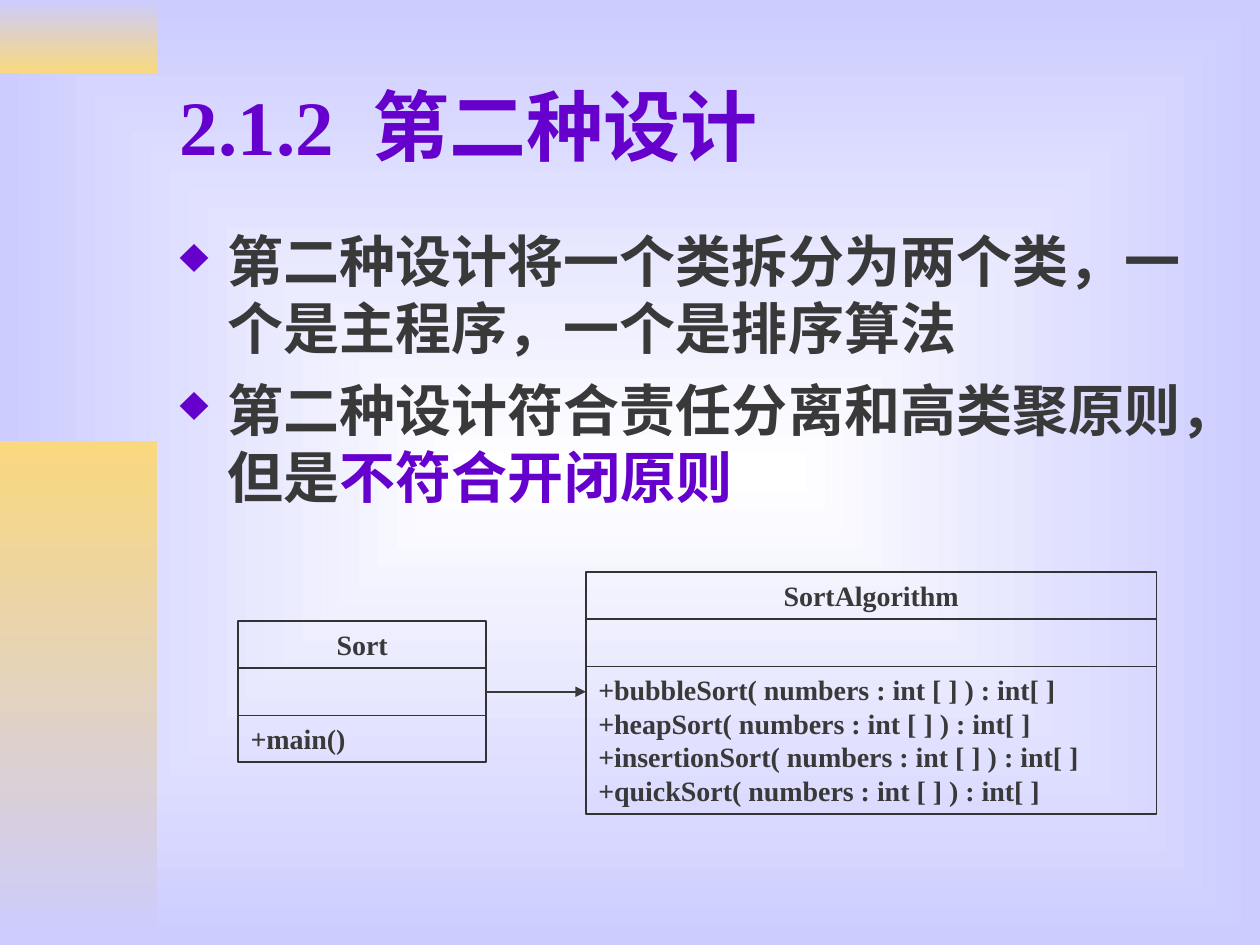
from dataclasses import dataclass

from lxml.etree import SubElement
from pptx import Presentation
from pptx.dml.color import RGBColor as Color
from pptx.enum.shapes import MSO_CONNECTOR as Line, MSO_SHAPE as Shape
from pptx.enum.text import MSO_ANCHOR as Anchor, PP_ALIGN as Align
from pptx.oxml.ns import qn
from pptx.util import Inches, Pt


@dataclass(frozen=True)
class Theme:
    font: str = "Times New Roman"
    accent: str = "6600CC"
    ink: str = "393939"
    border: str = "333333"
    white: str = "FFFFFF"
    lavender: str = "CCCCFF"
    gold: str = "F9D87E"
    title: int = 44
    body: int = 32
    label: int = 16
    line: int = 1


THEME = Theme()
COLUMNS, ROWS = 100, 75
WIDTH, HEIGHT = Inches(10), Inches(7.5)

TITLE = "2.1.2\t第二种设计"
TITLE_TAB = 15.3
BULLETS = [
    [("第二种设计将一个类拆分为两个类，一个是主程序，一个是排序算法", THEME.ink)],
    [("第二种设计符合责任分离和高类聚原则，但是", THEME.ink), ("不符合开闭原则", THEME.accent)],
]
BARS = [
    (0, 5.8, THEME.lavender, THEME.gold),
    (35, 40, THEME.gold, THEME.lavender),
]
BAR_WIDTH = 12.5
TEXT_LEFT, TEXT_WIDTH = 13.3, 85
TITLE_TOP, TITLE_HEIGHT = 3.3, 13.2
BODY_TOP, BODY_HEIGHT = 17.5, 24.3
INDENT = 3.8
NAME_HEIGHT, FIELDS_HEIGHT = 3.7, 3.8
CLASSES = {
    "Sort": {"at": (18.9, 49.3, 19.7), "methods": ["+main()"], "methods_height": 3.7},
    "SortAlgorithm": {
        "at": (46.5, 45.4, 45.3),
        "methods": [
            "+bubbleSort( numbers : int [ ] ) : int[ ]",
            "+heapSort( numbers : int [ ] ) : int[ ]",
            "+insertionSort( numbers : int [ ] ) : int[ ]",
            "+quickSort( numbers : int [ ] ) : int[ ]",
        ],
        "methods_height": 11.7,
    },
}


def across(columns):
    return round(WIDTH * columns / COLUMNS)


def down(rows):
    return round(HEIGHT * rows / ROWS)


def place(left, top, width, height):
    return across(left), down(top), across(width), down(height)


def rgb(value):
    return Color.from_string(value)


def style(para, size, color):
    para.font.name = THEME.font
    para.font.size = Pt(size)
    para.font.bold = True
    para.font.color.rgb = rgb(color)


def paint_gradient(fill, colors):
    fill.gradient()
    for stop, color in zip(fill.gradient_stops, colors):
        stop.color.rgb = rgb(color)


def paint_background(page):
    paint_gradient(page.background.fill, (THEME.white, THEME.lavender))
    gradient = page.element.find(".//" + qn("a:gradFill"))
    gradient.remove(gradient.find(qn("a:lin")))
    shade = SubElement(gradient, qn("a:path"), {"path": "rect"})
    SubElement(shade, qn("a:fillToRect"), dict.fromkeys("ltrb", "50000"))


def add_bars(page):
    for top, height, *colors in BARS:
        bar = page.shapes.add_shape(Shape.RECTANGLE, *place(0, top, BAR_WIDTH, height))
        bar.shadow.inherit = False
        paint_gradient(bar.fill, colors)
        bar.fill.gradient_angle = 270
        bar.line.fill.background()


def add_text(page, top, height, anchor):
    box = page.shapes.add_textbox(*place(TEXT_LEFT, top, TEXT_WIDTH, height))
    box.text_frame.word_wrap = True
    box.text_frame.vertical_anchor = anchor
    return box.text_frame


def add_title(page):
    para = add_text(page, TITLE_TOP, TITLE_HEIGHT, Anchor.MIDDLE).paragraphs[0]
    para.text = TITLE
    tabs = SubElement(para._p.get_or_add_pPr(), qn("a:tabLst"))
    SubElement(tabs, qn("a:tab"), {"pos": str(across(TITLE_TAB)), "algn": "l"})
    style(para, THEME.title, THEME.accent)


def add_bullets(page):
    frame = add_text(page, BODY_TOP, BODY_HEIGHT, Anchor.TOP)
    for index, spans in enumerate(BULLETS):
        para = frame.add_paragraph() if index else frame.paragraphs[0]
        props = para._p.get_or_add_pPr()
        props.set("marL", str(across(INDENT)))
        props.set("indent", str(-across(INDENT)))
        SubElement(SubElement(props, qn("a:buClr")), qn("a:srgbClr"), {"val": THEME.accent})
        SubElement(props, qn("a:buSzPct"), {"val": "90000"})
        SubElement(props, qn("a:buChar"), {"char": "♦"})
        if index:
            para.space_before = Pt(8)
        style(para, THEME.body, THEME.ink)
        for text, color in spans:
            span = para.add_run()
            span.text = text
            if color != THEME.ink:
                span.font.color.rgb = rgb(color)


def add_class(page, name, at, methods, methods_height):
    left, top, width = at
    sections = [
        (name, NAME_HEIGHT, Align.CENTER),
        ("", FIELDS_HEIGHT, Align.CENTER),
        ("\v".join(methods), methods_height, Align.LEFT),
    ]
    boxes = []
    for text, height, align in sections:
        box = page.shapes.add_shape(Shape.RECTANGLE, *place(left, top, width, height))
        box.shadow.inherit = False
        box.fill.background()
        box.line.color.rgb = rgb(THEME.border)
        box.line.width = Pt(THEME.line)
        if text:
            box.text_frame.word_wrap = True
            box.text_frame.vertical_anchor = Anchor.TOP
            para = box.text_frame.paragraphs[0]
            para.text = text
            para.alignment = align
            style(para, THEME.label, THEME.ink)
        boxes.append(box)
        top += height
    return boxes


def add_arrow(page, source, target):
    level = source.top + source.height // 2
    start = source.left + source.width
    arrow = page.shapes.add_connector(Line.STRAIGHT, start, level, target.left, level)
    arrow.begin_connect(source, 3)
    arrow.line.color.rgb = rgb(THEME.ink)
    arrow.line.width = Pt(THEME.line)
    props = arrow.element.spPr
    SubElement(props.find(qn("a:ln")), qn("a:tailEnd"), {"type": "triangle"})
    SubElement(props, qn("a:effectLst"))


def main():
    deck = Presentation()
    deck.slide_width, deck.slide_height = WIDTH, HEIGHT
    page = deck.slides.add_slide(deck.slide_layouts[6])
    paint_background(page)
    add_bars(page)
    add_title(page)
    add_bullets(page)
    boxes = {name: add_class(page, name, **parts) for name, parts in CLASSES.items()}
    add_arrow(page, boxes["Sort"][1], boxes["SortAlgorithm"][2])
    deck.save("out.pptx")


if __name__ == "__main__":
    main()
